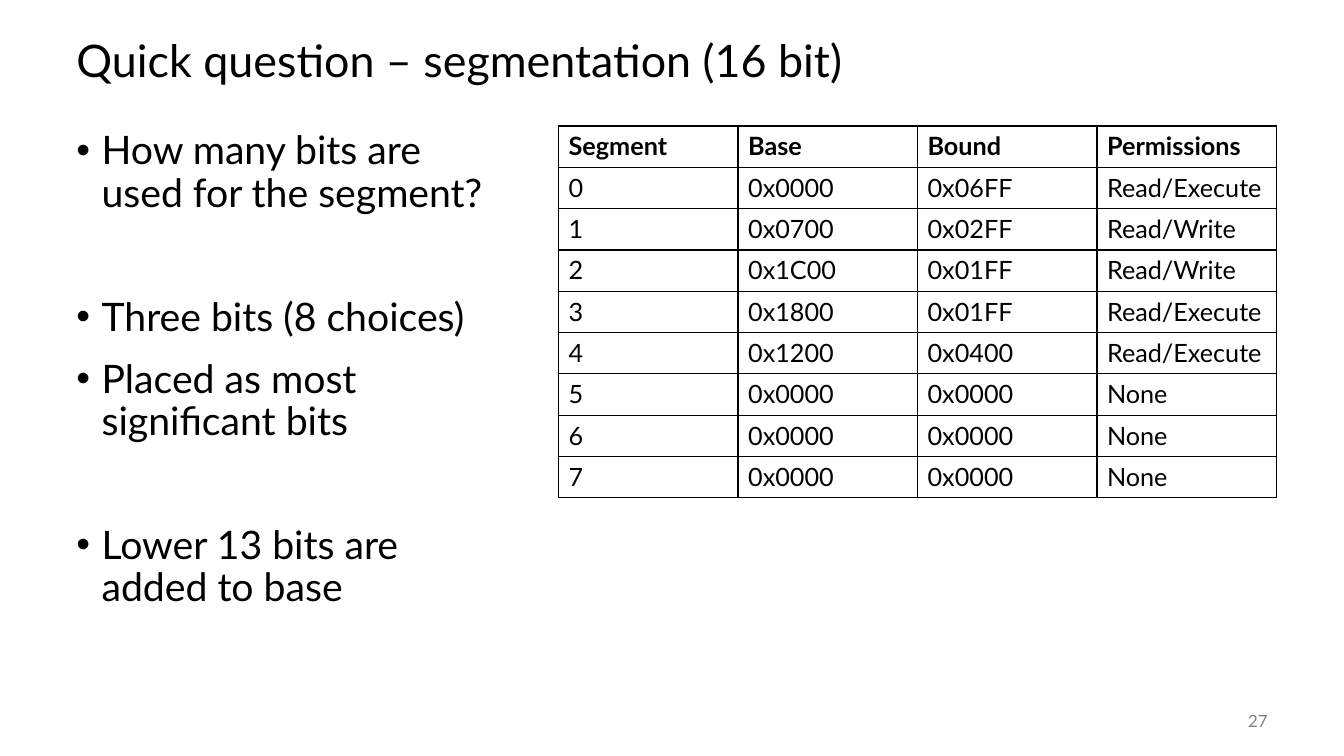
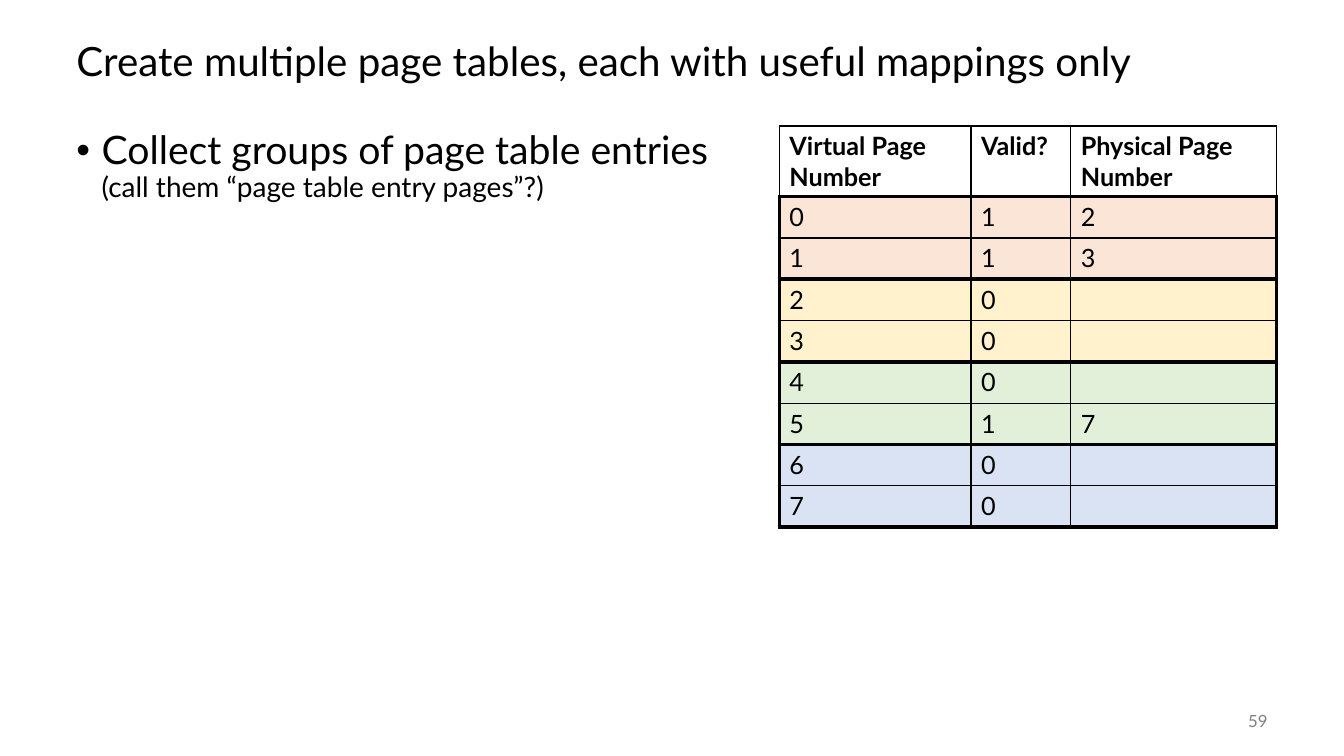
from lxml.etree import SubElement
from pptx import Presentation
from pptx.dml.color import RGBColor
from pptx.enum.text import MSO_ANCHOR, PP_ALIGN
from pptx.oxml.ns import qn
from pptx.util import Inches, Pt

FONT = "Lato"
BLACK, GRAY = "000000", "808080"
GROUP_FILLS = ["FBE5D6", "FFF2CC", "E2F0D9", "DAE3F3"]
LEFT, TOP, RIGHT = 0.66, 1.25, 12.66
ROW_H = 0.41
THIN, THICK = 1, 3
PARA_GAP, SECTION_GAP = 14, 58.25

SEGMENTS = [
    ("Segment", "Base", "Bound", "Permissions"),
    ("0", "0x0000", "0x06FF", "Read/Execute"),
    ("1", "0x0700", "0x02FF", "Read/Write"),
    ("2", "0x1C00", "0x01FF", "Read/Write"),
    ("3", "0x1800", "0x01FF", "Read/Execute"),
    ("4", "0x1200", "0x0400", "Read/Execute"),
    ("5", "0x0000", "0x0000", "None"),
    ("6", "0x0000", "0x0000", "None"),
    ("7", "0x0000", "0x0000", "None"),
]
PAGES = [
    ("Virtual Page Number", "Valid?", "Physical Page Number"),
    ("0", "1", "2"),
    ("1", "1", "3"),
    ("2", "0", ""),
    ("3", "0", ""),
    ("4", "0", ""),
    ("5", "1", "7"),
    ("6", "0", ""),
    ("7", "0", ""),
]


def rgb(color):
    return RGBColor.from_string(color)


def style(font, size, color=BLACK, bold=False):
    font.name, font.size, font.bold = FONT, Pt(size), bold
    font.color.rgb = rgb(color)


def add_box(s, x, y, w, h, anchor=MSO_ANCHOR.TOP):
    tf = s.shapes.add_textbox(Inches(x), Inches(y), Inches(w), Inches(h)).text_frame
    tf.word_wrap = True
    tf.vertical_anchor = anchor
    return tf


def add_label(s, box, text, size, color=BLACK, align=PP_ALIGN.LEFT, spacing=None):
    p = add_box(s, *box, anchor=MSO_ANCHOR.MIDDLE).paragraphs[0]
    p.text, p.alignment, p.line_spacing = text, align, spacing
    style(p.runs[0].font, size, color)


def add_base(prs, title, title_size, number):
    """Slide with its title and page number."""
    s = prs.slides.add_slide(prs.slide_layouts[6])
    add_label(s, (LEFT, 0.25, 12, 0.75), title, title_size, spacing=0.9)
    add_label(s, (11.67, 6.95, 1, 0.4), str(number), 12, GRAY, PP_ALIGN.RIGHT)
    return s


def add_bullets(s, width, sections):
    """Bulleted text; sections are lists of bullets set further apart.

    Text after a line break inside a bullet is set smaller.
    """
    tf = add_box(s, LEFT, TOP, width, 5.5)
    p = tf.paragraphs[0]
    for i, section in enumerate(sections):
        for j, text in enumerate(section):
            if i or j:
                p = tf.add_paragraph()
                p.space_before = Pt(PARA_GAP if j else SECTION_GAP)
            p.text, p.line_spacing = text, 0.9
            pPr = p._p.get_or_add_pPr()
            pPr.set("marL", str(Inches(0.25)))
            pPr.set("indent", str(-Inches(0.25)))
            SubElement(pPr, qn("a:buFont"), typeface="Arial")
            SubElement(pPr, qn("a:buChar"), char="•")
            for k, r in enumerate(p.runs):
                style(r.font, 20 if k else 28)


def set_borders(cell, left, right, top, bottom):
    tcPr = cell._tc.get_or_add_tcPr()
    for side, width in zip("LRTB", (left, right, top, bottom)):
        ln = SubElement(tcPr, qn(f"a:ln{side}"), w=str(Pt(width)))
        SubElement(SubElement(ln, qn("a:solidFill")), qn("a:srgbClr"), val=BLACK)


def add_grid(s, rows, widths, header_h=ROW_H, group=0):
    """Table against the right margin; group is the rows per coloured, framed block."""
    total = sum(widths)
    n_rows, n_cols = len(rows), len(widths)
    height = header_h + ROW_H * (n_rows - 1)
    table = s.shapes.add_table(n_rows, n_cols, Inches(RIGHT - total), Inches(TOP),
                               Inches(total), Inches(height)).table
    table.first_row = table.horz_banding = False
    for c, width in enumerate(widths):
        table.columns[c].width = Inches(width)
    for r, values in enumerate(rows):
        table.rows[r].height = Inches(ROW_H if r else header_h)
        block, place = divmod(r - 1, group) if group and r else (None, None)
        framed = block is not None
        top = THICK if framed and place == 0 else THIN
        bottom = THICK if group and (r == 0 or place == group - 1) else THIN
        for c, text in enumerate(values):
            cell = table.cell(r, c)
            set_borders(cell, THICK if framed and c == 0 else THIN,
                        THICK if framed and c == n_cols - 1 else THIN, top, bottom)
            if framed:
                cell.fill.solid()
                cell.fill.fore_color.rgb = rgb(GROUP_FILLS[block])
            else:
                cell.fill.background()
            p = cell.text_frame.paragraphs[0]
            p.text = text
            for run in p.runs:
                style(run.font, 18, bold=r == 0)


def segmentation_slide(prs):
    s = add_base(prs, "Quick question – segmentation (16 bit)", 32, 27)
    add_bullets(s, 4.47, [
        ["How many bits are used for the segment?"],
        ["Three bits (8 choices)", "Placed as most significant bits"],
        ["Lower 13 bits are added to base"],
    ])
    add_grid(s, SEGMENTS, [1.78] * 4)


def page_tables_slide(prs):
    s = add_base(prs, "Create multiple page tables, each with useful mappings only", 28.8, 59)
    add_grid(s, PAGES, [1.9, 0.99, 2.04], header_h=0.7, group=2)
    add_bullets(s, 6.93, [
        ["Collect groups of page table entries\v(call them “page table entry pages”?)"],
    ])


def main():
    prs = Presentation()
    prs.slide_width, prs.slide_height = Inches(13.33), Inches(7.5)
    segmentation_slide(prs)
    page_tables_slide(prs)
    prs.save("out.pptx")


if __name__ == "__main__":
    main()
